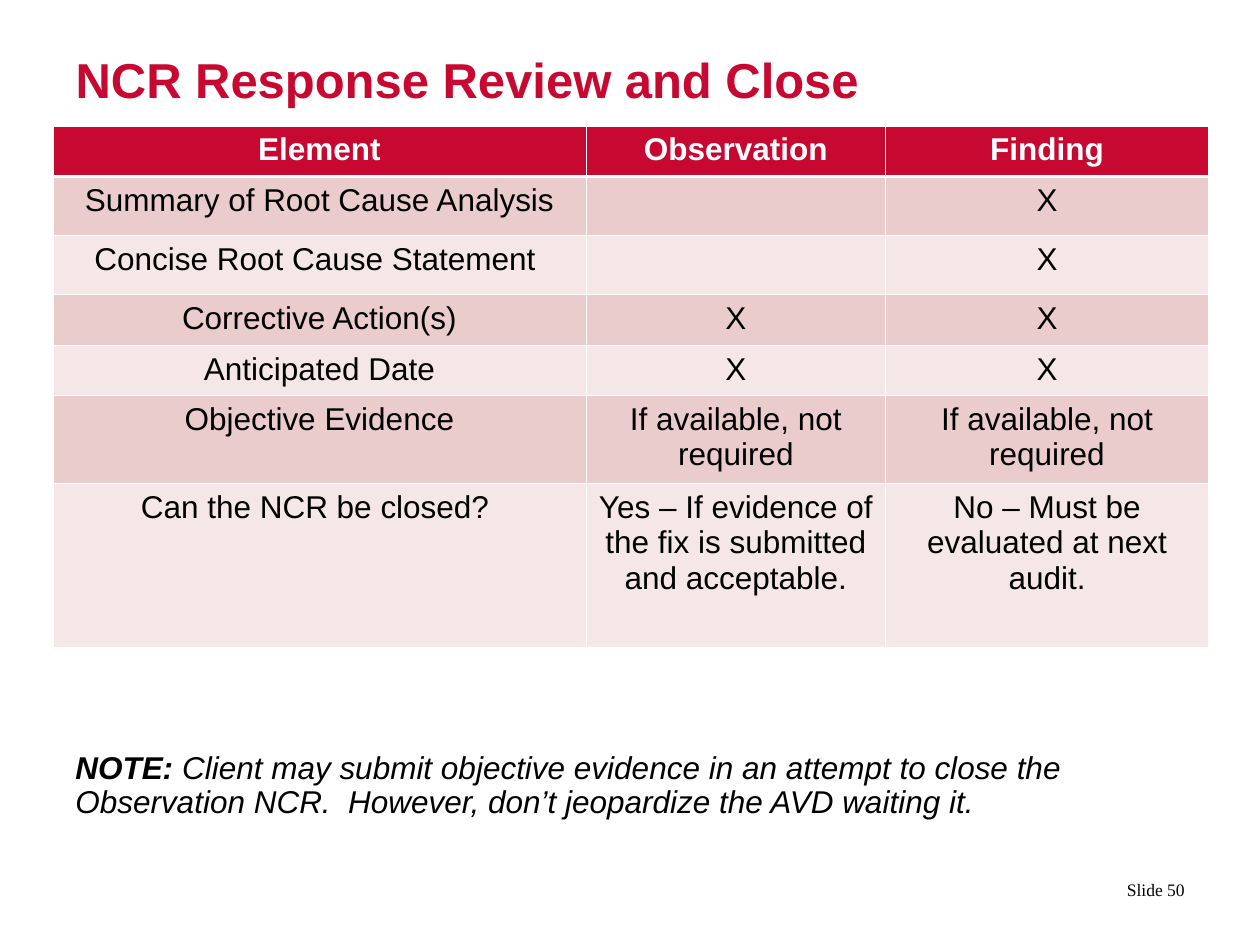
from lxml import etree
from pptx import Presentation
from pptx import util as u
from pptx.dml.color import RGBColor
from pptx.enum import text
from pptx.oxml import ns

COLORS = {"red": "C70932", "rose": "EBCCCD", "blush": "F5E7E8", "white": "FFFFFF", "black": "000000"}


def format_font(font, color, **values):
    font.color.rgb = RGBColor.from_string(COLORS[color])
    for key, value in values.items():
        setattr(font, key, value)


def add_border(cell, side, width):
    line = etree.SubElement(cell._tc.get_or_add_tcPr(), ns.qn(f"a:ln{side}"), w=str(u.Pt(width)))
    fill = etree.SubElement(line, ns.qn("a:solidFill"))
    etree.SubElement(fill, ns.qn("a:srgbClr"), val=COLORS["white"])


deck = Presentation()
deck.slide_width, deck.slide_height = u.Inches(10), u.Inches(7.5)
slide = deck.slides.add_slide(deck.slide_layouts[5])

heading = slide.shapes.title
heading_place = {"left": 0.5, "top": 0.3, "width": 9, "height": 0.78}
for key, inches in heading_place.items():
    setattr(heading, key, u.Inches(inches))
heading_frame = {"vertical_anchor": text.MSO_ANCHOR.TOP, "margin_top": u.Inches(0.09),
                 "auto_size": text.MSO_AUTO_SIZE.NONE, "word_wrap": True}
for key, value in heading_frame.items():
    setattr(heading.text_frame, key, value)
heading.text_frame.text = "NCR Response Review and Close"
heading_line = heading.text_frame.paragraphs[0]
heading_line.alignment = text.PP_ALIGN.LEFT
format_font(heading_line.runs[0].font, "red", name="Arial", size=u.Pt(28), bold=True)

requirements = [
    ("Element", "Observation", "Finding"),
    ("Summary of Root Cause Analysis", "", "X"),
    ("Concise Root Cause Statement ", "", "X"),
    ("Corrective Action(s)", "X", "X"),
    ("Anticipated Date", "X", "X"),
    ("Objective Evidence", "If available, not required", "If available, not required"),
    ("Can the NCR be closed? ", "Yes – If evidence of the fix is submitted and acceptable.",
     "No – Must be evaluated at next audit."),
]
widths = [4.23, 2.38, 2.56]
heights = [0.4, 0.47, 0.47, 0.4, 0.4, 0.7, 1.3]
review = slide.shapes.add_table(
    len(heights), len(widths), u.Inches(0.42), u.Inches(1),
    u.Inches(sum(widths)), u.Inches(sum(heights))).table
review.horz_banding = False
for column, width in zip(review.columns, widths):
    column.width = u.Inches(width)

for r, (entries, height) in enumerate(zip(requirements, heights)):
    review.rows[r].height = u.Inches(height)
    is_header = r == 0
    band = "red" if is_header else "rose" if r % 2 else "blush"
    for c, entry in enumerate(entries):
        cell = review.cell(r, c)
        borders = {"L": 0.45, "R": 0.45, "T": 1.47 if r == 1 else 0.45, "B": 1.47 if is_header else 0.45}
        for side, width in borders.items():
            add_border(cell, side, width)
        cell.fill.solid()
        cell.fill.fore_color.rgb = RGBColor.from_string(COLORS[band])
        cell.text = entry
        line = cell.text_frame.paragraphs[0]
        line.alignment = text.PP_ALIGN.CENTER
        for run in line.runs:
            format_font(run.font, "white" if is_header else "black",
                        name="Arial", size=u.Pt(18), bold=is_header)

note = slide.shapes.add_textbox(u.Inches(0.5), u.Inches(5.92), u.Inches(9.33), u.Inches(1.08))
note.text_frame.word_wrap = True
advice = note.text_frame.paragraphs[0]
advice.line_spacing = 0.9
advice_parts = [
    ("NOTE:", True),
    (" Client may submit objective evidence in an attempt to close the Observation NCR.  "
     "However, don’t jeopardize the AVD waiting it.", False),
]
for wording, bold in advice_parts:
    run = advice.add_run()
    run.text = wording
    format_font(run.font, "black", name="Arial", size=u.Pt(18), bold=bold, italic=True)

number = slide.shapes.add_textbox(u.Inches(8.8), u.Inches(6.86), u.Inches(0.7), u.Inches(0.4))
number.text_frame.word_wrap = True
number.text_frame.vertical_anchor = text.MSO_ANCHOR.MIDDLE
number_line = number.text_frame.paragraphs[0]
number_line.alignment = text.PP_ALIGN.RIGHT
number_run = number_line.add_run()
number_run.text = "Slide 50"
format_font(number_run.font, "black", name="Times New Roman", size=u.Pt(10))

deck.save("out.pptx")
